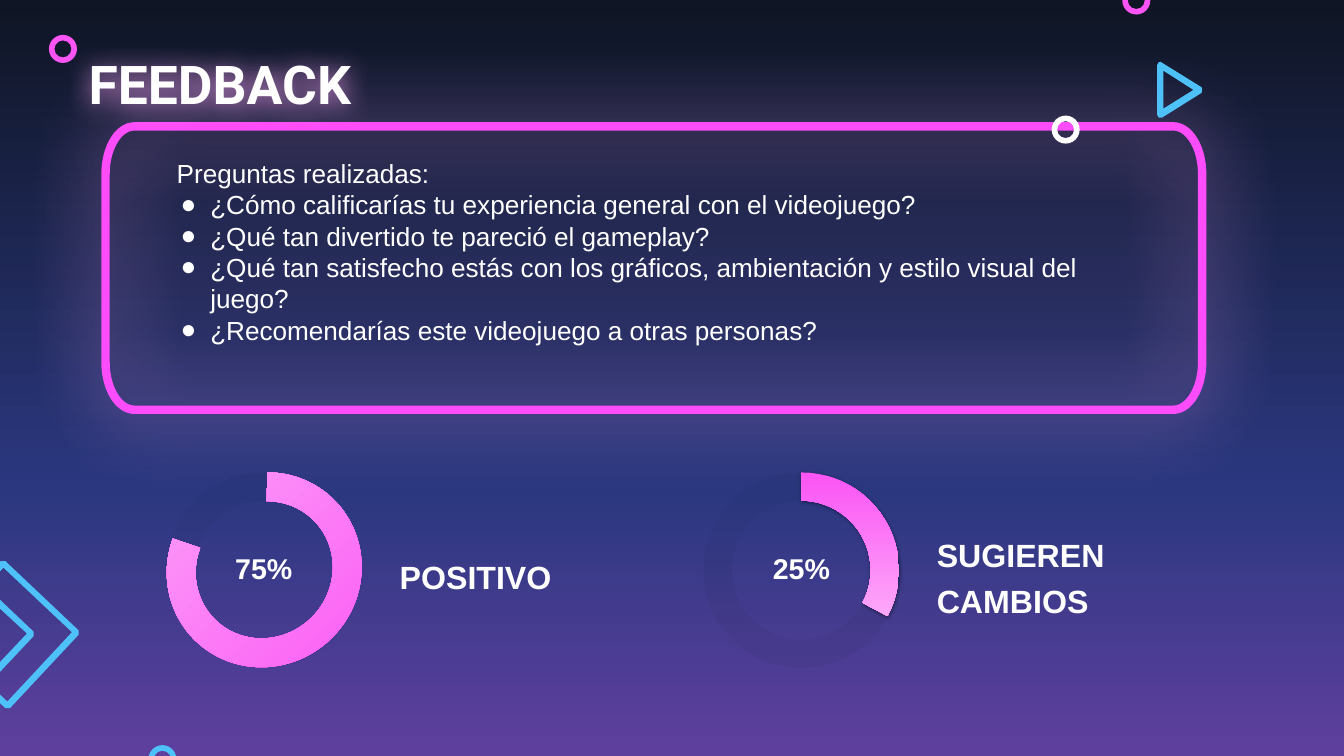
from copy import deepcopy
from math import cos, radians, sin

from lxml import etree
from pptx import Presentation
from pptx.dml.color import RGBColor
from pptx.enum.shapes import MSO_SHAPE
from pptx.enum.text import MSO_ANCHOR, MSO_AUTO_SIZE, PP_ALIGN
from pptx.oxml.ns import qn
from pptx.util import Cm, Pt

DONUT, ARC = MSO_SHAPE.DONUT, MSO_SHAPE.BLOCK_ARC
TOP, FIXED = MSO_ANCHOR.TOP, MSO_AUTO_SIZE.NONE
LEFT, MID = PP_ALIGN.LEFT, PP_ALIGN.CENTER

WHITE = RGBColor(0xFF, 0xFF, 0xFF)
BLACK = RGBColor(0x00, 0x00, 0x00)
NIGHT = RGBColor(0x0F, 0x15, 0x24)
NAVY = RGBColor(0x2B, 0x38, 0x80)
PLUM = RGBColor(0x5F, 0x3F, 0x9E)
NEON = RGBColor(0xFD, 0x4C, 0xF9)
PINK = RGBColor(0xFB, 0x54, 0xF4)
PALE = RGBColor(0xFD, 0xA7, 0xF9)
BLUE = RGBColor(0x4F, 0xC1, 0xF9)

ASKED = [
    "¿Cómo calificarías tu experiencia general con el videojuego?",
    "¿Qué tan divertido te pareció el gameplay?",
    "¿Qué tan satisfecho estás con los gráficos, ambientación y estilo visual del juego?",
    "¿Recomendarías este videojuego a otras personas?",
]
RINGS = [(39.75, 4.37, WHITE), (42.42, -0.51, PINK), (5.61, 28.17, BLUE), (1.85, 1.32, PINK)]
PLAY = [
    [(43.87, 2.34), (45.42, 3.3), (45.44, 3.4), (45.42, 3.51), (43.92, 4.45),
     (43.8, 4.45), (43.74, 4.34), (43.74, 2.46), (43.79, 2.36)],
    [(43.97, 2.67), (45.11, 3.4), (43.97, 4.11)],
]
CHEVRON = [
    [(-0.79, 22.1), (-0.79, 22.28), (1.02, 23.95), (-0.69, 25.76), (-0.69, 25.93), (0.2, 26.77),
     (0.38, 26.77), (2.97, 24), (2.97, 23.83), (0.2, 21.21), (0.03, 21.21)],
    [(0.13, 21.46), (2.72, 23.9), (0.28, 26.52), (-0.43, 25.86), (1.27, 24.05),
     (1.27, 23.88), (-0.53, 22.17)],
]
DIAL_X, DIAL_Y, DIAL, BAND, STEP = 6.27, 17.86, 7.39, 1.07, 20.32


def curve(x, y, wide, high, start, end):
    """Return points along an elliptic arc, with angles in degrees."""
    turns = [radians(start + (end - start) * i / 24) for i in range(25)]
    return [(x + wide * cos(t), y + high * sin(t)) for t in turns]


def blend(fill, root, stops):
    """Give a fill a downward gradient."""
    fill.gradient()
    fill.gradient_angle = 270
    marks = next(root.iter(qn("a:gsLst")))
    while len(marks) < len(stops):
        marks.append(deepcopy(marks[-1]))
    for mark, (place, color) in zip(fill.gradient_stops, stops):
        mark.position = place
        mark.color.rgb = color


def fade(shape, color):
    """Fill a shape with a color at five percent opacity."""
    shape.fill.solid()
    shape.fill.fore_color.rgb = color
    tone = shape.element.spPr.find(qn("a:solidFill"))[0]
    etree.SubElement(tone, qn("a:alpha"), val="5000")


def glow(shape, color, blur, alpha):
    """Put a soft shadow just below a shape."""
    shape.shadow.inherit = False
    list_ = shape.element.spPr.find(qn("a:effectLst"))
    cast = etree.SubElement(list_, qn("a:outerShdw"), blurRad=str(Pt(blur)),
                            dist=str(Pt(1.5)), dir="5400000", algn="bl", rotWithShape="0")
    tone = etree.SubElement(cast, qn("a:srgbClr"), val=str(color))
    etree.SubElement(tone, qn("a:alpha"), val=str(alpha * 1000))


def plain(shape, color=None):
    """Clear line and shadow, and fill with a color if one is given."""
    shape.shadow.inherit = False
    shape.line.fill.background()
    if color is not None:
        shape.fill.solid()
        shape.fill.fore_color.rgb = color
    return shape


def trace(slide, loops):
    """Draw closed loops of points as one outline."""
    loops = [[(Cm(x), Cm(y)) for x, y in loop] for loop in loops]
    pen = slide.shapes.build_freeform(*loops[0][0])
    pen.add_line_segments(loops[0][1:], close=True)
    for loop in loops[1:]:
        pen.move_to(*loop[0])
        pen.add_line_segments(loop[1:], close=True)
    return plain(pen.convert_to_shape())


def preset(slide, kind, x, y, wide, high):
    """Add a bare preset shape."""
    return plain(slide.shapes.add_shape(kind, Cm(x), Cm(y), Cm(wide), Cm(high)))


def ring(slide, x, y, size, band):
    """Add a donut with the given band width."""
    shape = preset(slide, DONUT, x, y, size, size)
    shape.adjustments[0] = band / size
    return shape


def panel(slide):
    """Draw the neon frame around the questions."""
    left, top, right, base, wide, high = 3.99, 4.78, 45.44, 15.49, 1.09, 1.8
    spots = [(right - wide, base - high), (left + wide, base - high),
             (left + wide, top + high), (right - wide, top + high)]
    loop = [spot for i, (x, y) in enumerate(spots)
            for spot in curve(x, y, wide, high, 90 * i, 90 * i + 90)]
    shape = trace(slide, [loop])
    fade(shape, NIGHT)
    shape.line.color.rgb = NEON
    shape.line.width = Pt(9)
    glow(shape, PALE, 81, 100)


def place(shape, x, y, wide, high):
    """Set a text holder's place and clear its insets."""
    shape.left, shape.top, shape.width, shape.height = Cm(x), Cm(y), Cm(wide), Cm(high)
    frame = shape.text_frame
    frame.margin_left = frame.margin_right = frame.margin_top = frame.margin_bottom = 0
    frame.word_wrap = True
    frame.auto_size = FIXED
    frame.vertical_anchor = TOP
    return frame


def write(frame, lines, size, face="Arial", bold=True, align=LEFT, space=1.0):
    """Write each line as a paragraph of one run."""
    for i, line in enumerate(lines):
        para = frame.add_paragraph() if i else frame.paragraphs[0]
        para.alignment, para.line_spacing = align, space
        if i:
            para.space_before = Pt(0)
        run = para.add_run()
        run.text = line
        font = run.font
        font.size, font.name, font.bold = Pt(size), face, bold
        font.color.rgb = WHITE


def indent(para, margin, first, mark=None):
    """Set a paragraph's indents and its bullet."""
    props = para._p.get_or_add_pPr()
    props.set("marL", str(Cm(margin)))
    props.set("indent", str(Cm(first)))
    if mark:
        tone = etree.SubElement(props, qn("a:buClr"))
        etree.SubElement(tone, qn("a:srgbClr"), val=str(WHITE))
        etree.SubElement(props, qn("a:buChar"), char=mark)
    else:
        etree.SubElement(props, qn("a:buNone"))


def label(slide, lines, x, y, wide, high, size, align=LEFT):
    """Add a bold text box."""
    box = slide.shapes.add_textbox(0, 0, 0, 0)
    write(place(box, x, y, wide, high), lines, size, align=align, space=1.2)


def heads(slide):
    """Fill the title and the list of questions."""
    title, body = slide.shapes.title, slide.placeholders[1]
    for holder in (body, title):
        slide.shapes.element.append(holder.element)
    write(place(title, 2.08, 1.93, 23.24, 2.44), ["FEEDBACK"], 57.2, "Roboto")
    indent(title.text_frame.paragraphs[0], 0, 1.27)
    glow(title, PALE, 28, 80)
    frame = place(body, 6.68, 5.94, 35.41, 9.58)
    write(frame, ["Preguntas realizadas:"] + ASKED, 28, bold=False)
    indent(frame.paragraphs[0], 0, 0)
    for para in frame.paragraphs[1:]:
        indent(para, 1.27, -1.12, "●")


def dials(slide):
    """Draw both percentage dials with their labels."""
    for i, share in enumerate(["75%", "25%"]):
        fade(ring(slide, DIAL_X + i * STEP, DIAL_Y, DIAL, BAND), NIGHT)
        label(slide, [share], 8.28 + i * STEP, 20.57, 3.38, 1.3, 30.6, MID)
    label(slide, ["POSITIVO"], 15.11, 20.8, 8.79, 1.47, 34.4)
    label(slide, ["SUGIEREN", "CAMBIOS"], 35.41, 19.94, 15.11, 3.23, 34.4)
    most = preset(slide, ARC, 6.25, 17.91, 7.47, 7.26)
    most.rotation = 135
    for i, value in enumerate([82.17, 38.32, 0.15]):
        most.adjustments[i] = value
    out = DIAL / 2
    x, y = DIAL_X + STEP + out, DIAL_Y + out
    inner = out - BAND
    few = trace(slide, [curve(x, y, out, out, -90, 28) + curve(x, y, inner, inner, 28, -90)])
    for part in (most, few):
        blend(part.fill, part.element, [(0, PINK), (1, PALE)])
    glow(few, BLACK, 4.5, 50)


def main():
    """Build the feedback slide."""
    deck = Presentation()
    deck.slide_width, deck.slide_height = Cm(50.8), Cm(28.58)
    slide = deck.slides.add_slide(deck.slide_layouts[1])
    blend(slide.background.fill, slide.element, [(0, NIGHT), (0.65, NAVY), (1, PLUM)])
    panel(slide)
    for loops in (PLAY, CHEVRON):
        plain(trace(slide, loops), BLUE)
    for x, y, color in RINGS:
        plain(ring(slide, x, y, 1.06, 0.21), color)
    heads(slide)
    dials(slide)
    deck.save("out.pptx")


if __name__ == "__main__":
    main()
